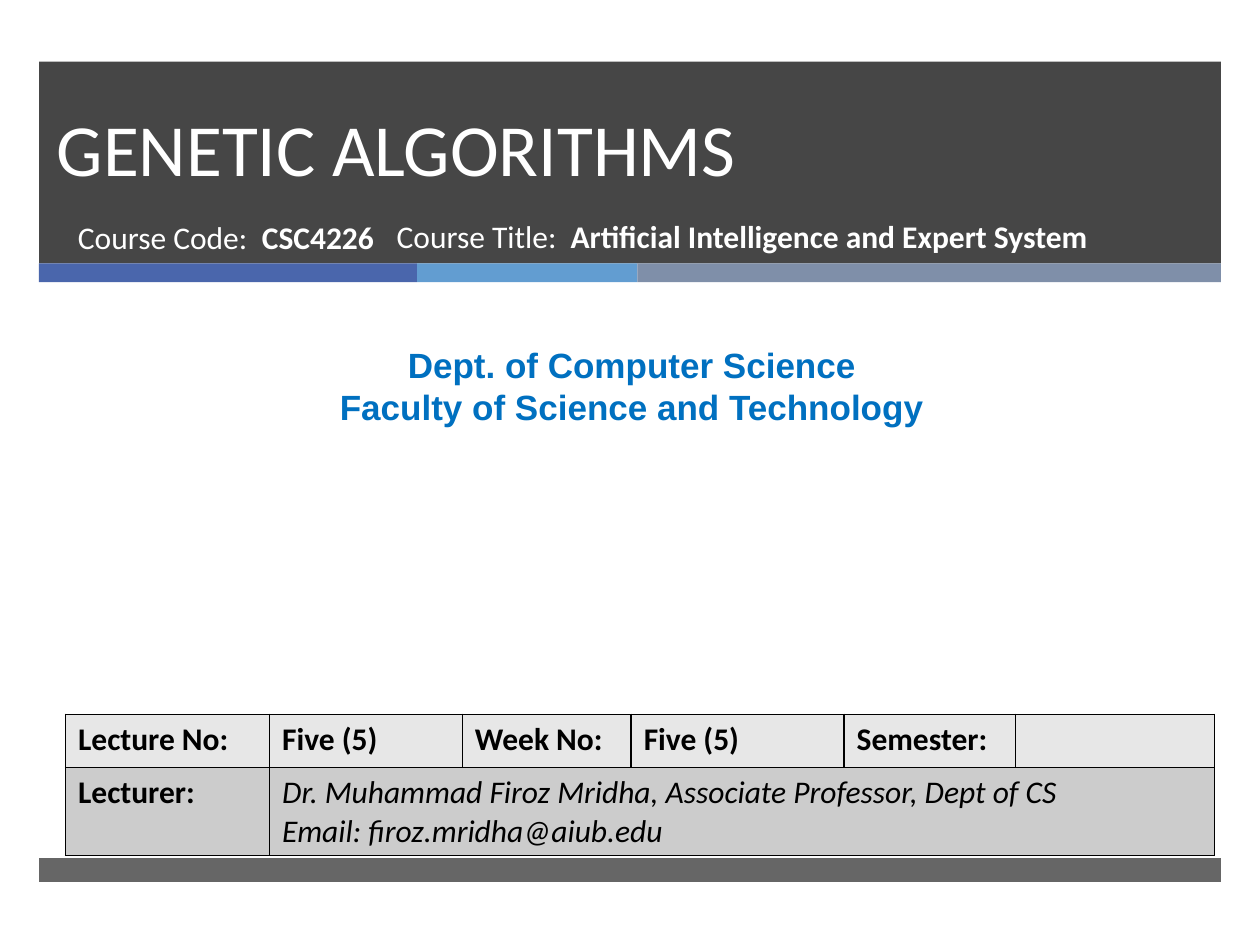
from lxml.etree import SubElement
from pptx import Presentation
from pptx.dml.color import RGBColor
from pptx.enum.shapes import MSO_SHAPE
from pptx.enum.text import MSO_ANCHOR, MSO_AUTO_SIZE, PP_ALIGN
from pptx.oxml import parse_xml
from pptx.oxml.ns import nsdecls, qn
from pptx.util import Inches, Pt

WHITE = RGBColor(0xFF, 0xFF, 0xFF)
BLACK = RGBColor(0, 0, 0)
CHARCOAL = RGBColor(0x26, 0x26, 0x26)
INDIGO = RGBColor(0x4A, 0x66, 0xAC)
SKY = RGBColor(0x62, 0x9D, 0xD1)
SLATE = RGBColor(0x7F, 0x8F, 0xA9)
DEPT_BLUE = RGBColor(0, 0x70, 0xC0)
LIGHT_ROW = RGBColor(0xE7, 0xE7, 0xE7)
DARK_ROW = RGBColor(0xCC, 0xCC, 0xCC)

MARGIN = 0.31
BAND_WIDTH = 9.38


def add_run(paragraph, text, size, color, font="Calibri", bold=False, italic=False):
    run = paragraph.add_run()
    run.text = text
    run.font.name = font
    run.font.size = Pt(size)
    run.font.bold = bold
    run.font.italic = italic
    run.font.color.rgb = color


def add_bar(slide, left, top, width, height, color, opacity=100):
    bar = slide.shapes.add_shape(
        MSO_SHAPE.RECTANGLE, Inches(left), Inches(top), Inches(width), Inches(height)
    )
    bar.shadow.inherit = False
    bar.line.fill.background()
    bar.fill.solid()
    bar.fill.fore_color.rgb = color
    if opacity < 100:
        tint = bar.element.spPr.find(qn("a:solidFill"))[0]
        SubElement(tint, qn("a:alpha")).set("val", str(opacity * 1000))


def add_text_frame(slide, left, top, width, height):
    box = slide.shapes.add_textbox(
        Inches(left), Inches(top), Inches(width), Inches(height)
    )
    box.text_frame.word_wrap = True
    return box.text_frame


def add_course_detail(slide, left, top, width, label, value, value_indent):
    detail = add_text_frame(slide, left, top, width, 0.53).paragraphs[0]
    tabs = SubElement(detail._p.get_or_add_pPr(), qn("a:tabLst"))
    stop = SubElement(tabs, qn("a:tab"))
    stop.set("pos", str(Inches(value_indent)))
    stop.set("algn", "l")
    add_run(detail, label + "\t", 18, WHITE)
    add_run(detail, value, 18, WHITE, bold=True)


def add_title(slide):
    title = slide.shapes.title
    title.left, title.top = Inches(0.35), Inches(0.38)
    title.width, title.height = Inches(8.54), Inches(1.19)
    frame = title.text_frame
    frame.auto_size = MSO_AUTO_SIZE.NONE
    frame.vertical_anchor = MSO_ANCHOR.BOTTOM
    heading = frame.paragraphs[0]
    heading.alignment = PP_ALIGN.LEFT
    heading.line_spacing = Pt(46)
    add_run(heading, "GENETIC ALGORITHMS", 42, WHITE)
    slide.shapes.element.append(title.element)


def add_department(slide):
    frame = add_text_frame(slide, 0.08, 2.68, 9.87, 0.77)
    lines = ["Dept. of Computer Science", "Faculty of Science and Technology"]
    for index, line in enumerate(lines):
        paragraph = frame.add_paragraph() if index else frame.paragraphs[0]
        paragraph.alignment = PP_ALIGN.CENTER
        add_run(paragraph, line, 20, DEPT_BLUE, font="Arial", bold=True)


def style_cell(cell, color):
    cell.fill.solid()
    cell.fill.fore_color.rgb = color
    properties = cell._tc.get_or_add_tcPr()
    for index, side in enumerate(("lnL", "lnR", "lnT", "lnB")):
        border = parse_xml(
            f'<a:{side} {nsdecls("a")} w="{Pt(1)}"><a:solidFill>'
            f'<a:srgbClr val="{BLACK}"/></a:solidFill></a:{side}>'
        )
        properties.insert(index, border)


def add_lecture_table(slide):
    widths = [1.62, 1.53, 1.34, 1.69, 1.36, 1.58]
    heights = [0.42, 0.69]
    table = slide.shapes.add_table(
        2, 6, Inches(0.52), Inches(5.67), Inches(sum(widths)), Inches(sum(heights))
    ).table
    for column, width in zip(table.columns, widths):
        column.width = Inches(width)
    for row, height, color in zip(table.rows, heights, (LIGHT_ROW, DARK_ROW)):
        row.height = Inches(height)
        for cell in row.cells:
            style_cell(cell, color)
    table.cell(1, 1).merge(table.cell(1, 5))

    labels = ["Lecture No:", "Five (5)", "Week No:", "Five (5)", "Semester:"]
    for column, label in enumerate(labels):
        add_run(table.cell(0, column).text_frame.paragraphs[0], label, 18, BLACK, bold=True)
    add_run(table.cell(1, 0).text_frame.paragraphs[0], "Lecturer:", 18, BLACK, bold=True)

    lecturer = table.cell(1, 1).text_frame
    add_run(
        lecturer.paragraphs[0],
        "Dr. Muhammad Firoz Mridha, Associate Professor, Dept of CS",
        18, BLACK, italic=True,
    )
    add_run(lecturer.add_paragraph(), "Email: firoz.mridha@aiub.edu", 18, BLACK, italic=True)


def main():
    deck = Presentation()
    deck.slide_width, deck.slide_height = Inches(10), Inches(7.5)
    slide = deck.slides.add_slide(deck.slide_layouts[5])

    add_bar(slide, MARGIN, 0.49, BAND_WIDTH, 1.6, CHARCOAL, opacity=85)
    left = MARGIN
    for width, color in ((3, INDIGO), (1.75, SKY), (4.63, SLATE)):
        add_bar(slide, left, 2.09, width, 0.15, color)
        left += width
    add_bar(slide, MARGIN, 6.81, BAND_WIDTH, 0.19, CHARCOAL, opacity=70)

    add_title(slide)
    add_course_detail(slide, 0.52, 1.68, 3.05, "Course Code:", "CSC4226", 1.46)
    add_department(slide)
    add_lecture_table(slide)
    add_course_detail(
        slide, 3.05, 1.67, 5.72, "Course Title:",
        "Artificial Intelligence and Expert System", 1.38,
    )
    deck.save("out.pptx")


if __name__ == "__main__":
    main()
